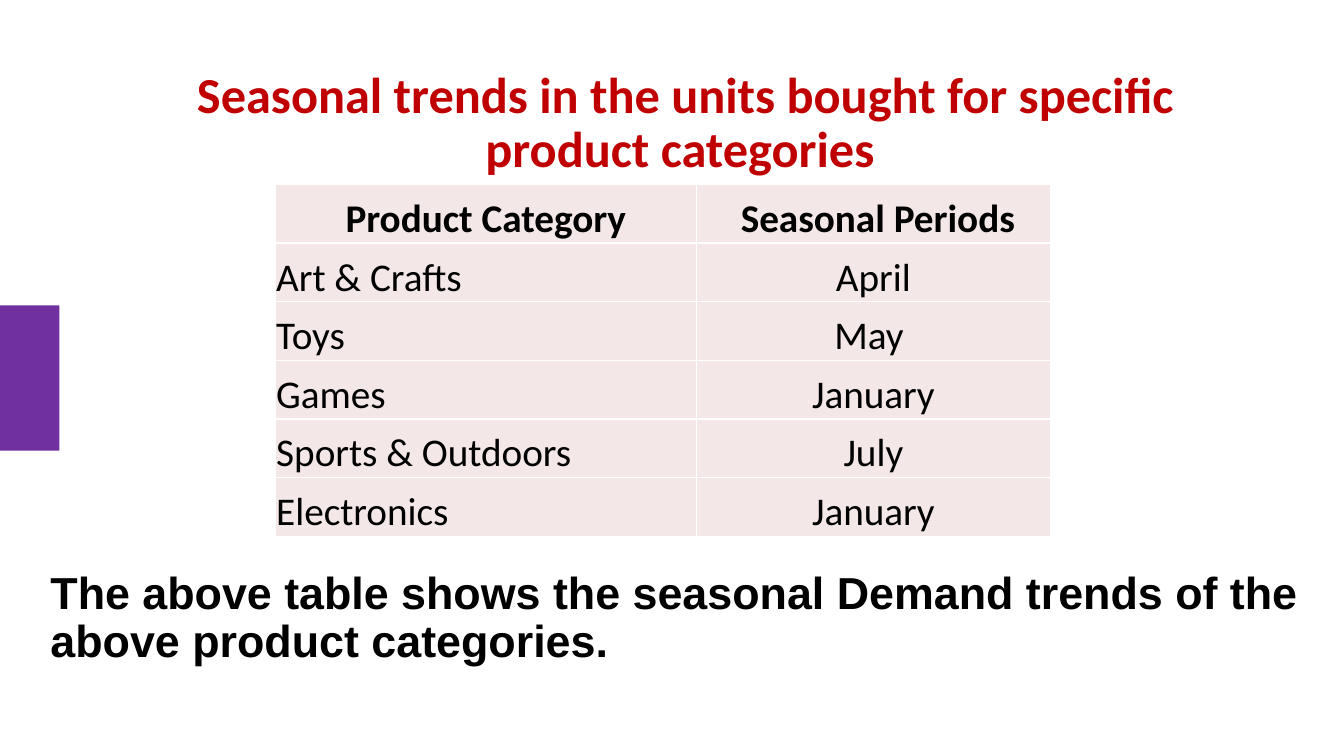
from lxml import etree
from pptx import Presentation
from pptx.dml.color import RGBColor
from pptx.enum.shapes import MSO_SHAPE
from pptx.enum.text import MSO_ANCHOR, PP_ALIGN
from pptx.oxml.ns import qn
from pptx.util import Inches, Pt

RECTANGLE = MSO_SHAPE.RECTANGLE
TOP, MIDDLE, BOTTOM = MSO_ANCHOR.TOP, MSO_ANCHOR.MIDDLE, MSO_ANCHOR.BOTTOM
LEFT, CENTER = PP_ALIGN.LEFT, PP_ALIGN.CENTER
PURPLE = RGBColor(0x70, 0x30, 0xA0)
RED = RGBColor(0xC0, 0x00, 0x00)
BLACK = RGBColor(0x00, 0x00, 0x00)
PINK = RGBColor(0xF4, 0xE7, 0xE7)
WHITE = RGBColor(0xFF, 0xFF, 0xFF)

TITLE_FORMAT = {"name": "Calibri", "size": Pt(36), "bold": True}
SUMMARY_FORMAT = {"name": "Arial", "size": Pt(32), "bold": True}
HEADER_FORMAT = {"name": "Calibri", "size": Pt(28), "bold": True}
ENTRY_FORMAT = {**HEADER_FORMAT, "bold": False}
CELL_MARGINS = {
    "margin_left": Inches(0.01),
    "margin_right": Inches(0.01),
    "margin_top": Inches(0.01),
    "margin_bottom": 0,
}
COLUMN_SHARES = (0.543, 0.457)
SEASONS = [
    ("Product Category", " Seasonal Periods"),
    ("Art & Crafts", "April"),
    ("Toys", "May "),
    ("Games", "January"),
    ("Sports & Outdoors", "July"),
    ("Electronics", "January"),
]


def set_attributes(target, values):
    """Set each named value on the target."""
    for name, value in values.items():
        setattr(target, name, value)


def write_text(text_frame, text, alignment, font_format, color):
    """Write one formatted paragraph and return it."""
    paragraph = text_frame.paragraphs[0]
    paragraph.alignment = alignment
    run = paragraph.add_run()
    run.text = text
    set_attributes(run.font, font_format)
    run.font.color.rgb = color
    return paragraph


def add_side_bar(slide, box):
    """Draw the plain accent bar in the given box."""
    bar = slide.shapes.add_shape(RECTANGLE, *map(Inches, box))
    bar.shadow.inherit = False
    bar.fill.solid()
    bar.fill.fore_color.rgb = PURPLE
    bar.line.fill.background()


def add_text_region(slide, box, text, alignment, anchor, font_format, color):
    """Place a wrapped text region without margins in the given box."""
    text_frame = slide.shapes.add_textbox(*map(Inches, box)).text_frame
    margins = dict.fromkeys(CELL_MARGINS, 0)
    set_attributes(text_frame, {"word_wrap": True, "vertical_anchor": anchor, **margins})
    paragraph = write_text(text_frame, text, alignment, font_format, color)
    paragraph.line_spacing = 0.9


def add_cell_borders(cell, color):
    """Give the cell a thin border on every side."""
    properties = cell._tc.get_or_add_tcPr()
    for side in ("lnL", "lnR", "lnT", "lnB"):
        line = etree.SubElement(properties, qn(f"a:{side}"), w=str(Pt(1)))
        fill = etree.SubElement(line, qn("a:solidFill"))
        etree.SubElement(fill, qn("a:srgbClr"), val=str(color))


def add_season_table(slide, box):
    """Fill the given box with the table of seasonal periods."""
    left, top, width, height = map(Inches, box)
    frame = slide.shapes.add_table(
        len(SEASONS), len(COLUMN_SHARES), left, top, width, height
    )
    table = frame.table
    set_attributes(table, {"first_row": False, "horz_banding": False})
    for column, share in zip(table.columns, COLUMN_SHARES):
        column.width = int(width * share)
    for row_index, entries in enumerate(SEASONS):
        is_header = row_index == 0
        for column_index, text in enumerate(entries):
            cell = table.cell(row_index, column_index)
            set_attributes(cell, {"vertical_anchor": BOTTOM, **CELL_MARGINS})
            add_cell_borders(cell, WHITE)
            cell.fill.solid()
            cell.fill.fore_color.rgb = PINK
            alignment = CENTER if is_header or column_index else LEFT
            font_format = HEADER_FORMAT if is_header else ENTRY_FORMAT
            write_text(cell.text_frame, text, alignment, font_format, BLACK)


def main():
    """Build the slide and save the presentation."""
    presentation = Presentation()
    presentation.slide_width = Inches(13.33)
    presentation.slide_height = Inches(7.5)
    slide = presentation.slides.add_slide(presentation.slide_layouts[6])
    add_side_bar(slide, (0, 3.03, 0.59, 1.44))
    add_text_region(
        slide, (1.3, 0.98, 10.89, 0.5),
        " Seasonal trends in the units bought for specific product categories",
        CENTER, MIDDLE, TITLE_FORMAT, RED,
    )
    add_text_region(
        slide, (0.5, 5.66, 12.91, 1.39),
        "The above table shows the seasonal Demand trends of the above product categories.",
        LEFT, TOP, SUMMARY_FORMAT, BLACK,
    )
    add_season_table(slide, (2.73, 1.83, 7.69, 3.49))
    presentation.save("out.pptx")


if __name__ == "__main__":
    main()
